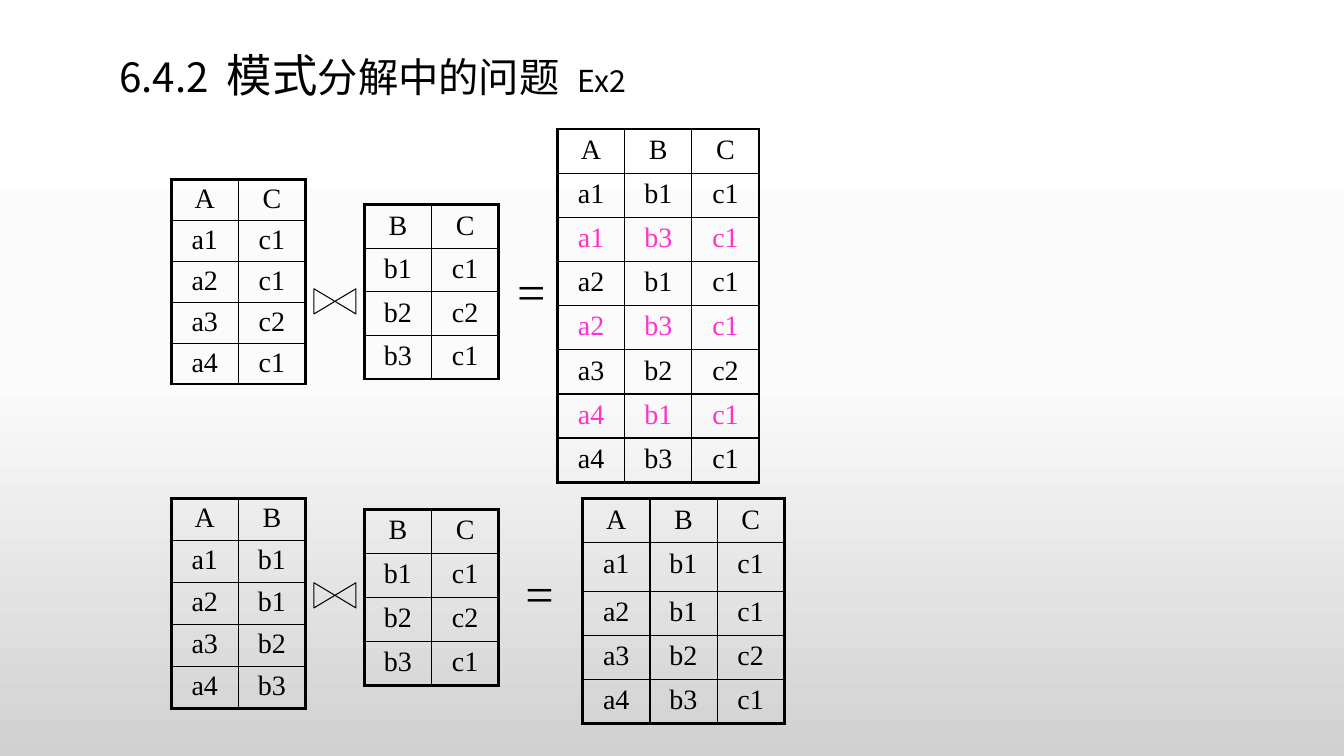
from lxml import etree
from pptx import Presentation
from pptx.dml.color import RGBColor
from pptx.enum.shapes import MSO_SHAPE
from pptx.enum.text import MSO_ANCHOR, PP_ALIGN
from pptx.oxml import parse_xml
from pptx.oxml.ns import qn
from pptx.util import Pt

PX = 9525  # 96 px to the inch
BOWTIE = MSO_SHAPE.FLOWCHART_COLLATE
CENTER, MIDDLE = PP_ALIGN.CENTER, MSO_ANCHOR.MIDDLE
TITLE_FONT, TABLE_FONT = "Noto Sans CJK SC", "Times New Roman"
COLORS = {"ink": "000000", "spurious": "FF33CC"}
BACKGROUND = {0: "FFFFFF", 50: "FBFBFB", 100: "D1D1D1"}
NAMESPACE = "http://schemas.openxmlformats.org/drawingml/2006/main"
COLUMN_WIDTH = 64

AC = ["A C", "a1 c1", "a2 c1", "a3 c2", "a4 c1"]
AB = ["A B", "a1 b1", "a2 b1", "a3 b2", "a4 b3"]
BC = ["B C", "b1 c1", "b2 c2", "b3 c1"]
LOSSY = ["A B C", "a1 b1 c1", "a1 b3 c1", "a2 b1 c1", "a2 b3 c1",
         "a3 b2 c2", "a4 b1 c1", "a4 b3 c1"]
LOSSLESS = ["A B C", "a1 b1 c1", "a2 b1 c1", "a3 b2 c2", "a4 b3 c1"]


def px(*lengths):
    return [round(length * PX) for length in lengths]


def style(span, font, size, color="ink"):
    span.font.name = font
    span.font.size = Pt(size)
    span.font.color.rgb = RGBColor.from_string(COLORS[color])


def paint_background(page):
    fill = page.background.fill
    fill.gradient()
    fill.gradient_angle = 270
    stops = page.element.find(".//" + qn("a:gsLst"))
    for stop in list(stops):
        stops.remove(stop)
    for percent, color in BACKGROUND.items():
        stop = etree.SubElement(stops, qn("a:gs"), pos=str(percent * 1000))
        etree.SubElement(stop, qn("a:srgbClr"), val=color)


def add_title(page, box):
    title = page.shapes.title
    title.left, title.top, title.width, title.height = px(*box)
    frame = title.text_frame
    frame.vertical_anchor = MIDDLE
    para = frame.paragraphs[0]
    para.alignment = PP_ALIGN.LEFT
    para.line_spacing = 0.9
    # Each part: text, size, extra letter spacing in points
    parts = [("6.4.2", 28.8, 0), (" ", 28.8, 6.5), ("模式", 32.4, 0),
             ("分解中的问题", 28.8, 0), (" ", 28.8, 6.5), ("Ex2", 21.6, 0)]
    for text, size, spacing in parts:
        span = para.add_run()
        span.text = text
        style(span, TITLE_FONT, size)
        properties = span.font._element
        etree.SubElement(properties, qn("a:ea"), typeface=TITLE_FONT)
        if spacing:
            properties.set("spc", str(round(spacing * 100)))


def set_borders(cell, outer_sides):
    properties = cell._tc.get_or_add_tcPr()
    for side in "LRTB":
        width = Pt(2.25 if side in outer_sides else 1)
        properties.append(parse_xml(
            f'<a:ln{side} xmlns:a="{NAMESPACE}" w="{width}"><a:solidFill>'
            f'<a:srgbClr val="{COLORS["ink"]}"/></a:solidFill></a:ln{side}>'))


def add_relation(page, left, top, rows, height, padding=5, spurious=(), tall=None):
    grid = [row.split() for row in rows]
    last_row, last_column = len(grid) - 1, len(grid[0]) - 1
    table = page.shapes.add_table(
        len(grid), len(grid[0]),
        *px(left, top, COLUMN_WIDTH * len(grid[0]), height)).table
    table.first_row = table.horz_banding = False
    for index, row_height in (tall or {}).items():
        table.rows[index].height = px(row_height)[0]
    for r, row in enumerate(grid):
        for c, text in enumerate(row):
            cell = table.cell(r, c)
            outer = {"L": c == 0, "R": c == last_column, "T": r == 0, "B": r == last_row}
            set_borders(cell, [side for side, edge in outer.items() if edge])
            cell.fill.background()
            cell.margin_top = cell.margin_bottom = px(padding)[0]
            para = cell.text_frame.paragraphs[0]
            para.text = text
            para.alignment = CENTER
            style(para.runs[0], TABLE_FONT, 20, "spurious" if r in spurious else "ink")


def add_join_sign(page, left, top):
    bowtie = page.shapes.add_shape(BOWTIE, *px(left, top, 24, 40))
    bowtie.rotation = 90
    bowtie.shadow.inherit = False
    bowtie.fill.background()
    bowtie.line.color.rgb = RGBColor.from_string(COLORS["ink"])
    bowtie.line.width = Pt(0.75)


def add_equals_sign(page, left, top):
    box = page.shapes.add_textbox(*px(left, top, 44, 67))
    box.text_frame.word_wrap = True
    para = box.text_frame.paragraphs[0]
    para.text = "="
    style(para.runs[0], TABLE_FONT, 36)


def add_equation(page, box, first, second_drop, join_drop, equals, result, **relation):
    """One natural join: first relation, bowtie, BC, equals sign, result."""
    left, top = box
    add_relation(page, left, top, first, 195, padding=4)
    add_join_sign(page, left + 144, top + join_drop)
    add_relation(page, left + 184, top + second_drop, BC, 166)
    add_equals_sign(page, left + equals[0], top + equals[1])
    add_relation(page, left + result[0], top + result[1], **relation)


def main():
    deck = Presentation()
    deck.slide_width, deck.slide_height = px(1280, 720)
    page = deck.slides.add_slide(deck.slide_layouts[5])
    paint_background(page)
    add_title(page, (104, 50, 816, 49))
    # Lossy decomposition
    add_equation(page, (163, 171), AC, 24, 96, (320, 72), (368, -48),
                 rows=LOSSY, height=333, spurious=(2, 4, 6))
    # Lossless decomposition
    add_equation(page, (163, 475), AB, 10, 72, (328, 56), (392, 0),
                 rows=LOSSLESS, height=208, tall={1: 46})
    deck.save("out.pptx")


if __name__ == "__main__":
    main()
